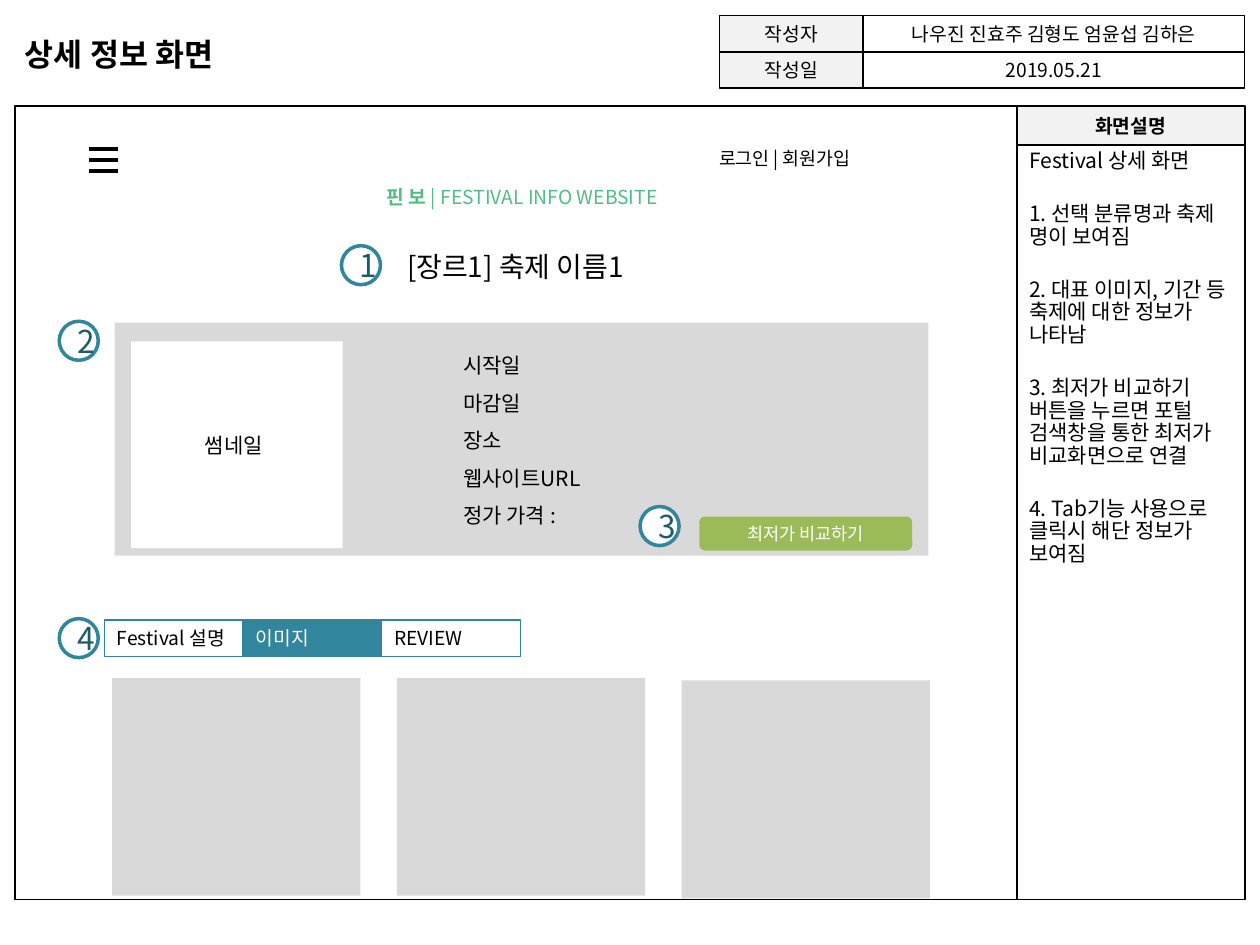
import pptx
import pptx.dml.color
import pptx.enum.shapes
import pptx.enum.text
import pptx.oxml.ns
import pptx.util
from lxml import etree

RGBColor = pptx.dml.color.RGBColor
BLACK = RGBColor(0x00, 0x00, 0x00)
WHITE = RGBColor(0xFF, 0xFF, 0xFF)
PALE = RGBColor(0xF2, 0xF2, 0xF2)
GREY = RGBColor(0xD9, 0xD9, 0xD9)
TEAL = RGBColor(0x31, 0x85, 0x9C)
DEEP_TEAL = RGBColor(0x21, 0x59, 0x68)
LEAF = RGBColor(0x9B, 0xBB, 0x59)
MINT = RGBColor(0x53, 0xBC, 0x82)

KIND = pptx.enum.shapes.MSO_SHAPE
LEFT = pptx.enum.text.PP_ALIGN.LEFT
CENTER = pptx.enum.text.PP_ALIGN.CENTER
TOP = pptx.enum.text.MSO_ANCHOR.TOP
MIDDLE = pptx.enum.text.MSO_ANCHOR.MIDDLE
KOREAN = "Noto Sans CJK KR"

deck = pptx.Presentation()
deck.slide_width = pptx.util.Inches(10)
deck.slide_height = pptx.util.Inches(7.5)
slide = deck.slides.add_slide(deck.slide_layouts[6])

# Grid: 100 columns by 75 rows of square cells
COL = deck.slide_width // 100
ROW = deck.slide_height // 75


def block(left, top, width, height, kind=KIND.RECTANGLE, fill=None, line=None, weight=0.75):
    """Add a preset shape; positions are in grid columns and rows."""
    shape = slide.shapes.add_shape(
        kind, int(left * COL), int(top * ROW), int(width * COL), int(height * ROW))
    shape.shadow.inherit = False
    if fill is None:
        shape.fill.background()
    else:
        shape.fill.solid()
        shape.fill.fore_color.rgb = fill
    if line is None:
        shape.line.fill.background()
    else:
        shape.line.color.rgb = line
        shape.line.width = pptx.util.Pt(weight)
    return shape


def write(target, *paragraphs, size=11, color=BLACK, bold=False, align=LEFT, anchor=TOP,
          font=KOREAN, leading=None, gap=0):
    """Fill a shape, or a new text box given as a grid rectangle.

    Each paragraph is a string, or a list of (string, bold) runs.
    """
    if isinstance(target, tuple):
        left, top, width, height = target
        target = slide.shapes.add_textbox(
            int(left * COL), int(top * ROW), int(width * COL), int(height * ROW))
    frame = target.text_frame
    frame.word_wrap = True
    frame.vertical_anchor = anchor
    for index, content in enumerate(paragraphs):
        paragraph = frame.paragraphs[0] if index == 0 else frame.add_paragraph()
        paragraph.alignment = align
        if leading:
            paragraph.line_spacing = pptx.util.Pt(leading)
        if index and gap:
            paragraph.space_before = pptx.util.Pt(gap)
        for words, heavy in ([(content, bold)] if isinstance(content, str) else content):
            run = paragraph.add_run()
            run.text = words
            run.font.size = pptx.util.Pt(size)
            run.font.bold = heavy
            run.font.color.rgb = color
            run.font.name = font
            east_asian = etree.SubElement(run.font._element, pptx.oxml.ns.qn("a:ea"))
            east_asian.set("typeface", font)
    return target


# Description panel and main frame
notes = block(80.7, 11.3, 18.1, 60.1, line=BLACK, weight=1)
write(notes,
      "Festival 상세 화면",
      "1. 선택 분류명과 축제 명이 보여짐",
      "2. 대표 이미지, 기간 등 축제에 대한 정보가 나타남",
      "3. 최저가 비교하기 버튼을 누르면 포털 검색창을 통한 최저가 비교화면으로 연결",
      "4. Tab기능 사용으로 클릭시 해단 정보가 보여짐",
      size=12, leading=12.9, gap=17.5)
notes.text_frame.margin_top = pptx.util.Inches(0.06)
write(block(80.7, 8.4, 18.1, 3.1, fill=PALE, line=BLACK, weight=1),
      "화면설명", font="Arial", bold=True, align=CENTER, anchor=MIDDLE)
block(1.2, 8.4, 79.5, 63, fill=WHITE, line=BLACK, weight=1)

# Document header
write((1, 2.3, 21.4, 4), "상세 정보 화면", size=18, bold=True)
for row, (label, value) in enumerate([
        ("작성자", "나우진 진효주 김형도 엄윤섭 김하은"),
        ("작성일", "2019.05.21")]):
    top = 1.25 + row * 2.87
    write(block(57.1, top, 11.4, 2.87, fill=PALE, line=BLACK), label, align=CENTER)
    write(block(68.5, top, 30.3, 2.87, line=BLACK), value, align=CENTER)

# Menu icon
for bar in range(3):
    height = int((11.8 + bar * 0.9) * ROW)
    stroke = slide.shapes.add_connector(
        pptx.enum.shapes.MSO_CONNECTOR.STRAIGHT,
        int(7.1 * COL), height, int(9.4 * COL), height)
    stroke.line.color.rgb = BLACK
    stroke.line.width = pptx.util.Pt(2.25)
    etree.SubElement(stroke._element.spPr, pptx.oxml.ns.qn("a:effectLst"))

# Site heading
write((56.1, 11.2, 17.3, 2.8), "로그인 | 회원가입", size=10.5)
write((27.7, 14.2, 27.5, 2.9), [("핀 보 ", True), ("| FESTIVAL INFO WEBSITE", False)],
      color=MINT, align=CENTER)
write((28.9, 19.3, 24, 3.7), "[장르1] 축제 이름1", size=16, align=CENTER)

# Festival summary
block(9.1, 25.6, 64.6, 18.5, fill=GREY)
thumbnail = block(10.4, 27.1, 16.8, 16.4, fill=WHITE)
write(thumbnail, "썸네일", size=12, font="Roboto", align=CENTER, anchor=MIDDLE)
thumbnail.text_frame.margin_left = pptx.util.Inches(0.05)
write((35.8, 26.5, 36.6, 16.2),
      "시작일", "마감일", "장소", "웹사이트URL", "정가 가격 :", size=12, leading=21.5)
write(block(55.5, 41, 16.9, 2.7, kind=KIND.ROUNDED_RECTANGLE, fill=LEAF),
      "최저가 비교하기", size=10, color=WHITE, align=CENTER, anchor=MIDDLE)

# Tabs, with the image tab selected
for index, tab in enumerate(["Festival 설명", "이미지", "REVIEW"]):
    selected = tab == "이미지"
    write(block(8.3 + index * 11, 49.2, 11, 2.9, fill=TEAL if selected else None, line=TEAL),
          tab, color=WHITE if selected else BLACK)

# Image gallery
for index, top in enumerate([53.8, 53.8, 54]):
    block(8.9 + index * 22.6, top, 19.7, 17.3, fill=GREY)

# Numbered markers
for number, (left, top) in enumerate(
        [(27.1, 19.5), (4.7, 25.5), (50.8, 40.2), (4.7, 49.1)], start=1):
    write(block(left, top, 3.1, 3.1, kind=KIND.OVAL, fill=WHITE, line=TEAL, weight=2),
          str(number), size=18, color=DEEP_TEAL, align=CENTER, anchor=MIDDLE)

deck.save("out.pptx")
